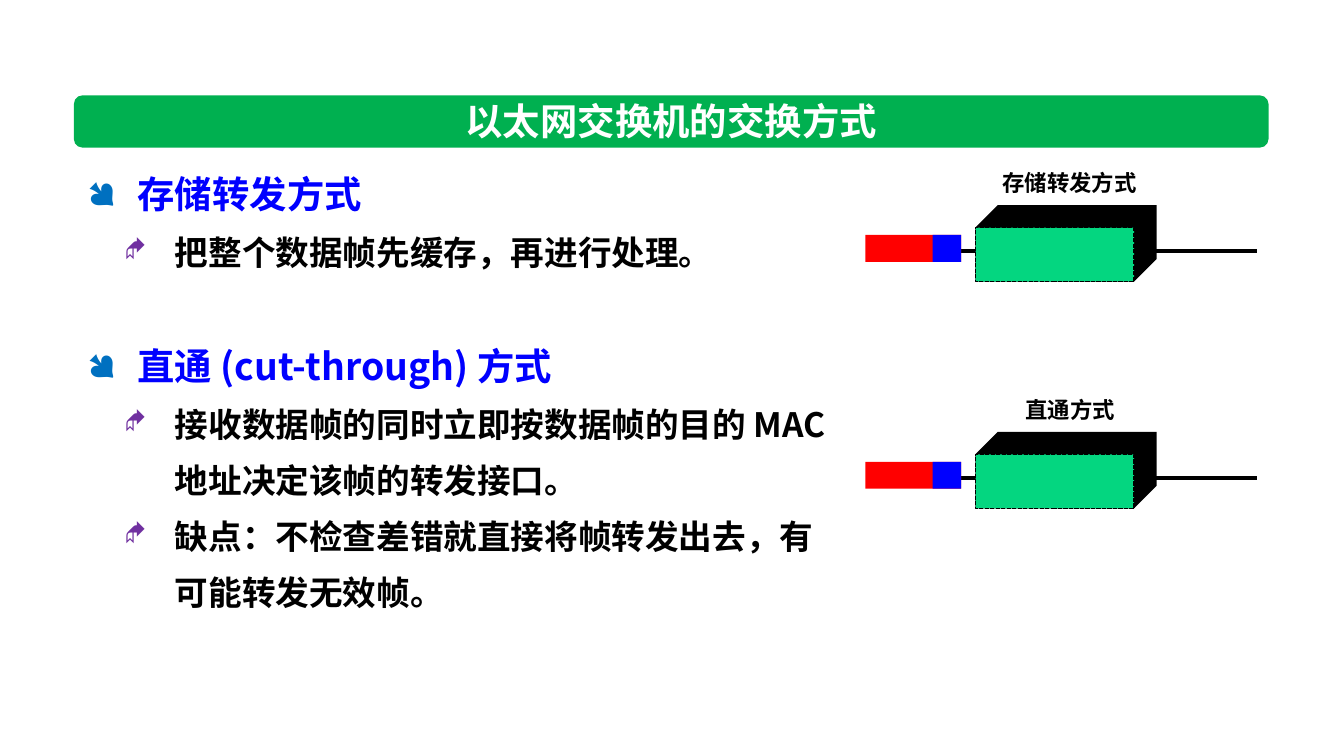
from lxml import etree
from pptx import Presentation
from pptx import util as u
from pptx.dml.color import RGBColor
from pptx.enum import dml, shapes, text
from pptx.oxml import ns

Pt = u.Pt
FONT = "Noto Sans CJK SC"
LEFT, WIDTH = 39.6, 640
DIAGRAM_GAP = 121.5
DEPTH = 12

# left margin, line spacing, bullet, bullet colour, bullet size, text size, text colour
LEVELS = [
    (27, 33, "●", "0070C0", 100, 20, "0000FF"),
    (47, 30, "◆", "7030A0", 75, 18, "000000"),
]


def colour(value):
    return RGBColor.from_string(value)


def add_child(parent, tag, **attributes):
    return etree.SubElement(parent, ns.qn(tag), attributes)


def style_runs(para, size, value):
    """Set bold text in the slide font for both Latin and Chinese letters."""
    for span in para.runs:
        span.font.size = Pt(size)
        span.font.bold = True
        span.font.color.rgb = colour(value)
        span.font.name = FONT
        add_child(span.font._element, "a:ea", typeface=FONT)


def set_bullet(para, symbol, value, percent):
    properties = para._p.get_or_add_pPr()
    add_child(add_child(properties, "a:buClr"), "a:srgbClr", val=value)
    add_child(properties, "a:buSzPct", val=str(percent * 1000))
    add_child(properties, "a:buFont", typeface="Wingdings")
    add_child(properties, "a:buChar", char=symbol)


def add_outline(page, left, top, width, height, items):
    """Add a bulleted list; items are pairs of level and wording."""
    box = page.shapes.add_textbox(Pt(left), Pt(top), Pt(width), Pt(height))
    frame = box.text_frame
    frame.word_wrap = True
    frame.text = "\n".join(wording for _, wording in items)
    for para, (level, _) in zip(frame.paragraphs, items):
        margin, spacing, symbol, bullet_colour, percent, size, value = LEVELS[level]
        para.level = level
        properties = para._p.get_or_add_pPr()
        properties.set("marL", str(Pt(margin)))
        properties.set("indent", str(-Pt(27)))
        set_bullet(para, symbol, bullet_colour, percent)
        para.line_spacing = Pt(spacing)
        style_runs(para, size, value)


def add_label(page, left, top, width, height, wording, size, value, align):
    box = page.shapes.add_textbox(Pt(left), Pt(top), Pt(width), Pt(height))
    box.text_frame.word_wrap = False
    box.text_frame.text = wording
    para = box.text_frame.paragraphs[0]
    para.alignment = align
    style_runs(para, size, value)


def paint(shape, fill):
    shape.shadow.inherit = False
    shape.fill.solid()
    shape.fill.fore_color.rgb = colour(fill)
    shape.line.fill.background()
    return shape


def add_block(parent, left, top, width, height, fill,
              kind=shapes.MSO_SHAPE.RECTANGLE):
    return paint(parent.shapes.add_shape(
        kind, Pt(left), Pt(top), Pt(width), Pt(height)), fill)


def add_wire(page, start, end, y):
    wire = page.shapes.add_connector(
        shapes.MSO_CONNECTOR.STRAIGHT, Pt(start), Pt(y), Pt(end), Pt(y))
    wire.line.color.rgb = colour("000000")
    wire.line.width = Pt(2.25)
    add_child(wire._element.spPr, "a:effectLst")


def add_switch(page, left, top, width, height):
    """Add a green front with black top and right sides behind it."""
    right, bottom = left + width, top + height
    corners = [(left + DEPTH, top - DEPTH), (right + DEPTH, top - DEPTH),
               (right + DEPTH, bottom - DEPTH), (right, bottom), (left, bottom)]
    builder = page.shapes.build_freeform(Pt(left), Pt(top))
    builder.add_line_segments([(Pt(x), Pt(y)) for x, y in corners])
    paint(builder.convert_to_shape(), "000000")
    front = add_block(page, left, top, width, height, "04D680")
    front.line.color.rgb = colour("000000")
    front.line.width = Pt(0.75)
    front.line.dash_style = dml.MSO_LINE.SQUARE_DOT


def add_diagram(page, top, name, label_left, label_width):
    """Add a named switch with its two wires and an arriving frame."""
    add_wire(page, 476.6, 536.4, top + 47.5)
    add_wire(page, 673.2, 605.5, top + 47.5)
    add_switch(page, 522.6, top + 34.8, 85, 29)
    data_frame = page.shapes.add_group_shape()
    add_block(data_frame, 463.6, top + 38.8, 51.3, 14.4, "FF0000")
    add_block(data_frame, 499.6, top + 38.8, 15.3, 14.4, "0000FF")
    add_label(page, label_left, top, label_width, 21.6, name, 12, "000000",
              text.PP_ALIGN.LEFT)


def main():
    deck = Presentation()
    deck.slide_width, deck.slide_height = Pt(720), Pt(405)
    page = deck.slides.add_slide(deck.slide_layouts[6])

    add_outline(page, LEFT, 79.2, WIDTH, 67.7, [
        (0, "存储转发方式"),
        (1, "把整个数据帧先缓存，再进行处理。"),
    ])
    add_block(page, LEFT, 51.1, WIDTH, 28, "00B050",
              shapes.MSO_SHAPE.ROUNDED_RECTANGLE)
    add_label(page, 241.2, 49, 236.9, 31.7, "以太网交换机的交换方式", 20, "FFFFFF",
              text.PP_ALIGN.CENTER)
    add_outline(page, LEFT, 171.4, 412.6, 162, [
        (0, "直通 (cut-through) 方式"),
        (1, "接收数据帧的同时立即按数据帧的目的 MAC 地址决定该帧的转发接口。"),
        (1, "缺点：不检查差错就直接将帧转发出去，有可能转发无效帧。"),
    ])

    diagrams = [("存储转发方式", 529.9, 87.1), ("直通方式", 542.2, 63.4)]
    for index, (name, label_left, label_width) in enumerate(diagrams):
        add_diagram(page, 87.1 + index * DIAGRAM_GAP, name, label_left, label_width)

    deck.save("out.pptx")


if __name__ == "__main__":
    main()
